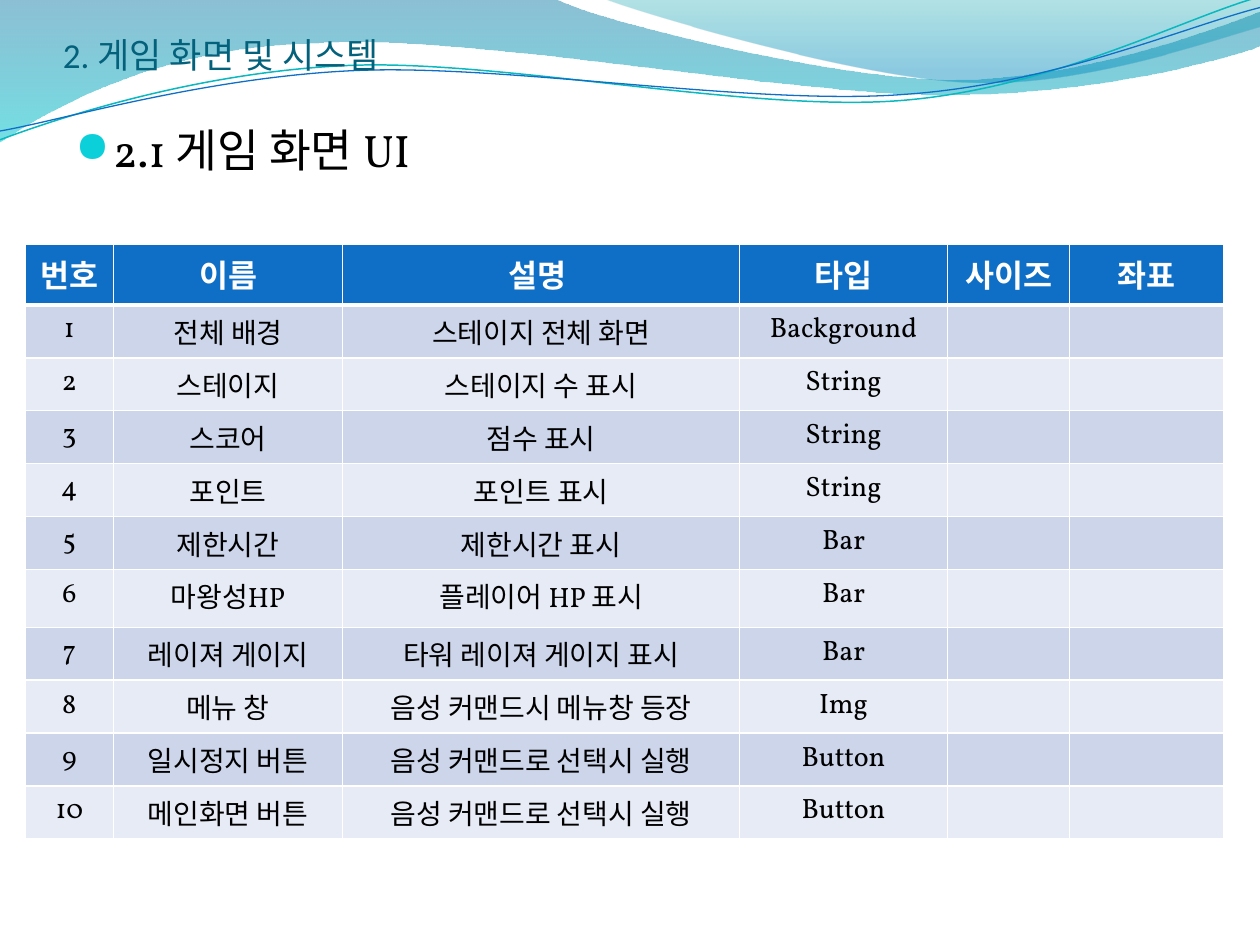
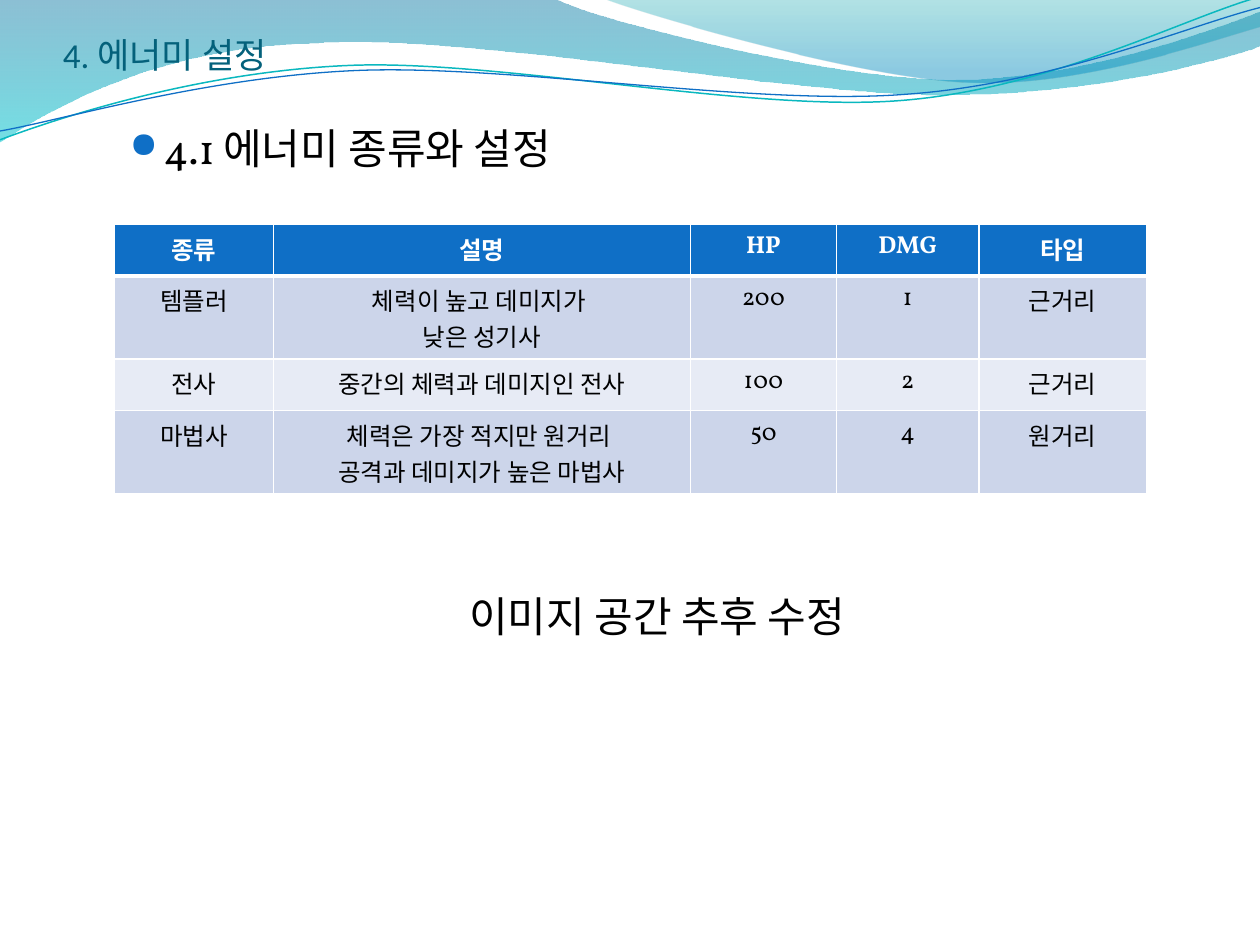
"""Build two game design slides: screen UI elements and enemy settings."""
from lxml import etree
from pptx import Presentation
from pptx.dml.color import RGBColor
from pptx.enum.text import MSO_ANCHOR, PP_ALIGN
from pptx.oxml import parse_xml
from pptx.oxml.ns import nsdecls, qn
from pptx.util import Inches, Pt

C = {"title": "04617B", "text": "000000", "white": "FFFFFF", "header": "0F6FC6",
     "odd": "CCD5EA", "even": "E7EBF5", "teal": "0AB8BF", "cyan": "0BD0D9",
     "deep": "0074A1", "aqua": "00C6CF", "sea": "00A1A9", "sky": "008BBF"}
HEAD, BODY, SYMBOL = "Calibri", "Vollkorn", "OpenSymbol"

WAVES = [
    {"start": (0, 0), "grad": [(0, "deep", 45), (100, "aqua", 55)],
     "parts": [(4.4, -0.01), (4.76, 0.17, 6.64, 0.63, 7.58, 0.63),
               (8.53, 0.63, 9.58, 0.26, 10, 0.09), (10.01, 0.36),
               (9.83, 0.44, 8.7, 0.76, 7.46, 0.75),
               (6.22, 0.75, 3.82, 0.28, 2.57, 0.34),
               (1.29, 0.36, 0.46, 0.83, -0.01, 1.13), (0, 0)]},
    {"start": (4.79, -0.01), "grad": [(0, "sea", 30), (80, "sky", 45)],
     "parts": [(5.09, 0.11, 6.82, 0.62, 7.69, 0.65),
               (8.56, 0.69, 9.61, 0.32, 10, 0.21), (10, 0), (4.79, -0.01)]},
    {"start": (0, 1.11), "line": ("teal", 0.85),
     "parts": [(0.48, 0.93, 1.58, 0.57, 2.77, 0.52),
               (3.95, 0.47, 5.93, 0.89, 7.13, 0.8),
               (8.33, 0.71, 9.38, 0.15, 9.98, -0.02)]},
    {"start": (0, 1.04), "line": ("header", 0.75),
     "parts": [(0.47, 0.96, 1.64, 0.61, 2.83, 0.56),
               (4.03, 0.51, 5.97, 0.84, 7.17, 0.75),
               (8.36, 0.67, 9.41, 0.21, 10, 0.06)]},
]

SLIDES = [
    {"title": "2. 게임 화면 및 시스템",
     "heading": "2.1 게임 화면 UI", "size": 26, "indent": (0.3, -0.3), "bullet": ("cyan", 95),
     "at": (0.2, 1.94), "cell_size": (18, 16),
     "cols": [0.7, 1.82, 3.15, 1.65, 0.97, 1.22],
     "heights": [0.48] + [0.42] * 5 + [0.46] + [0.42] * 4,
     "rows": [
         ["번호", "이름", "설명 ", "타입", "사이즈", "좌표"],
         ["1", "전체 배경", "스테이지 전체 화면", "Background", "", ""],
         ["2", "스테이지", "스테이지 수 표시", "String", "", ""],
         ["3", "스코어", "점수 표시", "String", "", ""],
         ["4", "포인트", "포인트 표시", "String", "", ""],
         ["5", "제한시간", "제한시간 표시", "Bar", "", ""],
         ["6", "마왕성HP", "플레이어 HP 표시", "Bar", "", ""],
         ["7", "레이져 게이지", "타워 레이져 게이지 표시", "Bar", "", ""],
         ["8", "메뉴 창", "음성 커맨드시 메뉴창 등장", "Img", "", ""],
         ["9", "일시정지 버튼", "음성 커맨드로 선택시 실행", "Button", "", ""],
         ["10", "메인화면 버튼", "음성 커맨드로 선택시 실행", "Button", "", ""]]},
    {"title": "4. 에너미 설정",
     "heading": "4.1 에너미 종류와 설정", "size": 24, "indent": (0.7, -0.27),
     "bullet": ("header", 85), "note": "이미지 공간 추후 수정",
     "at": (0.91, 1.78), "cell_size": (14, 14),
     "cols": [1.26, 3.31, 1.16, 1.13, 1.33],
     "heights": [0.41, 0.66, 0.41, 0.66],
     "rows": [
         ["종류", "설명", "HP", "DMG", "타입"],
         ["템플러", "체력이 높고 데미지가 \n낮은 성기사", "200", "1", "근거리"],
         ["전사", "중간의 체력과 데미지인 전사", "100", "2", "근거리"],
         ["마법사", "체력은 가장 적지만 원거리 \n공격과 데미지가 높은 마법사", "50", "4", "원거리"]]},
]


def add_run(p, text, size, color, font=BODY, bold=False):
    r = p.add_run()
    r.text = text
    r.font.size, r.font.name, r.font.bold = Pt(size), font, bold
    r.font.color.rgb = RGBColor.from_string(C[color])


def add_wave(s, wave):
    x, y = wave["start"]
    fb = s.shapes.build_freeform(Inches(x), Inches(y))
    for part in wave["parts"]:
        pts = [(Inches(px), Inches(py)) for px, py in zip(part[::2], part[1::2])]
        fb.add_line_segments(pts, close=False)
    sp = fb.convert_to_shape()
    spPr = sp._element.spPr
    lines = iter(list(spPr.iter(qn("a:lnTo"))))
    for part in wave["parts"]:
        ln = next(lines)
        if len(part) == 6:
            curve = etree.Element(qn("a:cubicBezTo"))
            ln.addprevious(curve)
            for seg in (ln, next(lines), next(lines)):
                curve.append(seg[0])
                seg.getparent().remove(seg)
    sp.shadow.inherit = False
    sp.fill.background()
    if "line" in wave:
        color, width = wave["line"]
        sp.line.color.rgb = RGBColor.from_string(C[color])
        sp.line.width = Pt(width)
        return
    etree.SubElement(next(spPr.iter(qn("a:path"))), qn("a:close"))
    sp.line.fill.background()
    stops = "".join(
        f'<a:gs pos="{pos * 1000}"><a:srgbClr val="{C[color]}">'
        f'<a:alpha val="{alpha * 1000}"/></a:srgbClr></a:gs>'
        for pos, color, alpha in wave["grad"])
    grad = parse_xml(f'<a:gradFill {nsdecls("a")} rotWithShape="1"><a:gsLst>{stops}</a:gsLst>'
                     '<a:lin ang="5400000" scaled="0"/></a:gradFill>')
    spPr.replace(spPr.find(qn("a:noFill")), grad)


prs = Presentation()
prs.slide_width, prs.slide_height = Inches(10), Inches(7.5)

for data in SLIDES:
    s = prs.slides.add_slide(prs.slide_layouts[6])
    for wave in WAVES:
        add_wave(s, wave)

    tf = s.shapes.add_textbox(Inches(0.5), 0, Inches(9), Inches(0.6)).text_frame
    tf.word_wrap = True
    tf.vertical_anchor = MSO_ANCHOR.BOTTOM
    tf.margin_left = tf.margin_right = tf.margin_bottom = 0
    add_run(tf.paragraphs[0], data["title"], 20, "title", HEAD)

    tf = s.shapes.add_textbox(Inches(0.5), Inches(0.92), Inches(9), Inches(5.78)).text_frame
    tf.word_wrap = True
    p = tf.paragraphs[0]
    add_run(p, data["heading"], data["size"], "text")
    pPr = p._p.get_or_add_pPr()
    left, hang = data["indent"]
    pPr.set("marL", str(Inches(left)))
    pPr.set("indent", str(Inches(hang)))
    color, percent = data["bullet"]
    clr = etree.SubElement(pPr, qn("a:buClr"))
    etree.SubElement(clr, qn("a:srgbClr"), val=C[color])
    etree.SubElement(pPr, qn("a:buSzPct"), val=str(percent * 1000))
    etree.SubElement(pPr, qn("a:buFont"), typeface=SYMBOL)
    etree.SubElement(pPr, qn("a:buChar"), char="●")
    if "note" in data:
        p = tf.add_paragraph()
        p.alignment = PP_ALIGN.CENTER
        p.space_before = Pt(239)
        p._p.get_or_add_pPr().set("marL", str(Inches(0.43)))
        add_run(p, data["note"], data["size"], "text")

    rows, cols, heights = data["rows"], data["cols"], data["heights"]
    left, top = data["at"]
    tbl = s.shapes.add_table(len(rows), len(cols), Inches(left), Inches(top),
                             Inches(sum(cols)), Inches(sum(heights))).table
    for col, width in zip(tbl.columns, cols):
        col.width = Inches(width)
    for i, row in enumerate(rows):
        tbl.rows[i].height = Inches(heights[i])
        fill = "header" if i == 0 else "odd" if i % 2 else "even"
        for j, text in enumerate(row):
            cell = tbl.cell(i, j)
            tcPr = cell._tc.get_or_add_tcPr()
            for side in "LRTB":
                thick = (i == 0 and side == "B") or (i == 1 and side == "T")
                ln = etree.SubElement(tcPr, qn(f"a:ln{side}"), w=str(Pt(3 if thick else 1)))
                solid = etree.SubElement(ln, qn("a:solidFill"))
                etree.SubElement(solid, qn("a:srgbClr"), val=C["white"])
            cell.fill.solid()
            cell.fill.fore_color.rgb = RGBColor.from_string(C[fill])
            for k, line in enumerate(text.split("\n")):
                p = cell.text_frame.add_paragraph() if k else cell.text_frame.paragraphs[0]
                p.alignment = PP_ALIGN.CENTER
                add_run(p, line, data["cell_size"][i > 0], "text" if i else "white", bold=i == 0)

prs.save("out.pptx")
